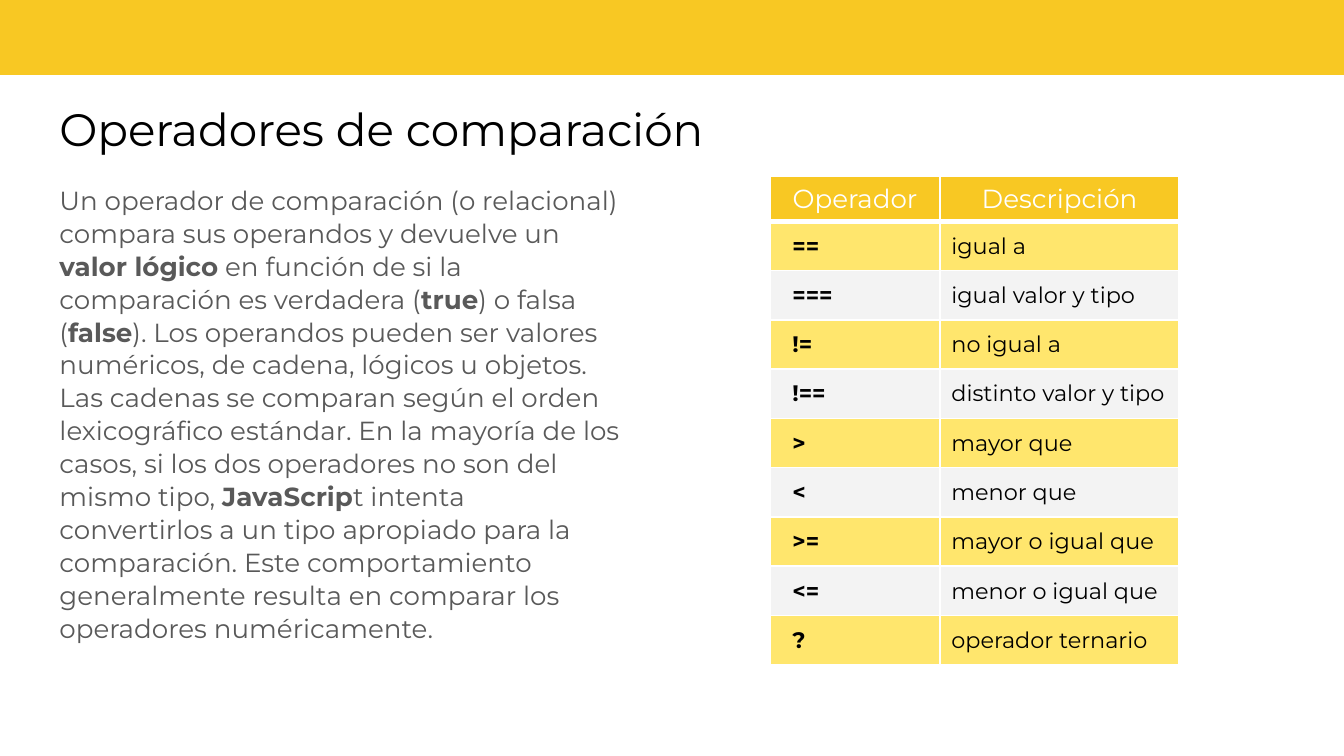
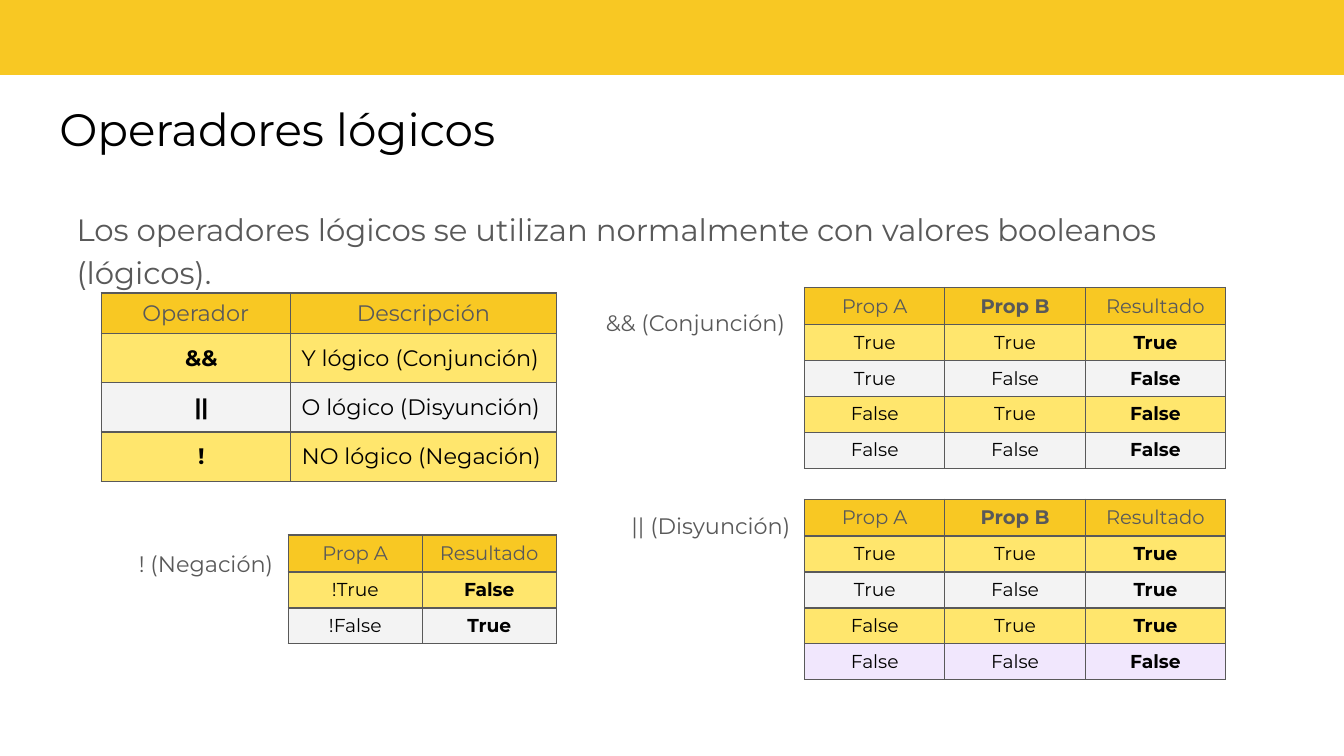
from dataclasses import dataclass

from lxml import etree
from pptx import Presentation
from pptx.dml.color import RGBColor
from pptx.enum import shapes, text
from pptx.oxml.ns import qn
from pptx.util import Pt

FONT = "Montserrat"
COLORS = {
    "band": "F8C823",
    "stripe": "FFE66D",
    "plain": "F3F3F3",
    "lilac": "F1E7FD",
    "white": "FFFFFF",
    "black": "000000",
    "gray": "595959",
}
LEFT, CENTER, RIGHT = text.PP_ALIGN.LEFT, text.PP_ALIGN.CENTER, text.PP_ALIGN.RIGHT


@dataclass
class TableStyle:
    header_size: float
    body_size: float
    header_height: float
    row_height: float
    header_color: str
    border_color: str
    border_width: float
    header_rule: float
    body_margins: tuple  # one (left, top, right, bottom) for the first column, one for the rest
    body_aligns: tuple
    bold_column: int


HEADER_MARGINS = (7.2, 3.6, 7.2, 3.6)
OPERATOR_MARGINS = ((12, 6, 6, 6), (6, 6, 6, 6))
COMPARISON = TableStyle(14, 12, 24, 26.4, "white", "white", 1, 3,
                        OPERATOR_MARGINS, (LEFT, LEFT), 0)
LOGIC = TableStyle(12, 12, 21.6, 26.4, "gray", "gray", 0.75, 0.75,
                   OPERATOR_MARGINS, (CENTER, LEFT), 0)
TRUTH = TableStyle(10.5, 10, 19.6, 19.2, "gray", "gray", 0.75, 0.75,
                   (HEADER_MARGINS, HEADER_MARGINS), (CENTER, CENTER), -1)


def rgb(name):
    return RGBColor.from_string(COLORS[name])


def write(text_frame, content, size, color, align=LEFT, bold=False):
    """Fill the first paragraph; parts between ** marks are bold."""
    paragraph = text_frame.paragraphs[0]
    paragraph.alignment = align
    for index, part in enumerate(content.split("**")):
        if part:
            run = paragraph.add_run()
            run.text = part
            run.font.name = FONT
            run.font.size = Pt(size)
            run.font.bold = bold or index % 2 == 1
            run.font.color.rgb = rgb(color)
    return paragraph


def add_text(slide, box, content, size, color="gray", align=LEFT):
    shape = slide.shapes.add_textbox(*map(Pt, box))
    text_frame = shape.text_frame
    text_frame.word_wrap = True
    text_frame.margin_left = text_frame.margin_right = Pt(7.2)
    text_frame.margin_top = text_frame.margin_bottom = Pt(7.2)
    return write(text_frame, content, size, color, align)


def set_borders(cell, color, widths):
    """Draw the cell's edges; widths gives left, right, top and bottom."""
    properties = cell._tc.get_or_add_tcPr()
    for side, width in zip("LRTB", widths):
        line = etree.SubElement(properties, qn(f"a:ln{side}"), w=str(Pt(width)))
        fill = etree.SubElement(line, qn("a:solidFill"))
        etree.SubElement(fill, qn("a:srgbClr"), val=COLORS[color])


def add_grid(slide, left, top, widths, rows, style, last_fill=None):
    """Add a table with a header row and striped body rows."""
    height = style.header_height + style.row_height * (len(rows) - 1)
    frame = slide.shapes.add_table(len(rows), len(widths), Pt(left), Pt(top),
                                   Pt(sum(widths)), Pt(height))
    table = frame.table
    table.horz_banding = False
    for column, width in zip(table.columns, widths):
        column.width = Pt(width)
    bold_column = style.bold_column % len(widths)

    for r, values in enumerate(rows):
        is_header = r == 0
        table.rows[r].height = Pt(style.header_height if is_header else style.row_height)
        if is_header:
            fill = "band"
        elif last_fill and r == len(rows) - 1:
            fill = last_fill
        else:
            fill = "stripe" if r % 2 else "plain"
        thin = style.border_width
        above = style.header_rule if r == 1 else thin
        below = style.header_rule if is_header else thin

        for c, value in enumerate(values):
            cell = table.cell(r, c)
            later = min(c, 1)
            margins = HEADER_MARGINS if is_header else style.body_margins[later]
            (cell.margin_left, cell.margin_top,
             cell.margin_right, cell.margin_bottom) = map(Pt, margins)
            set_borders(cell, style.border_color, (thin, thin, above, below))
            cell.fill.solid()
            cell.fill.fore_color.rgb = rgb(fill)
            if is_header:
                write(cell.text_frame, value, style.header_size, style.header_color, CENTER)
            else:
                write(cell.text_frame, value, style.body_size, "black",
                      style.body_aligns[later], c == bold_column)


def add_titled_slide(presentation, title):
    """Add a slide with the yellow band and the title."""
    slide = presentation.slides.add_slide(presentation.slide_layouts[6])
    band = slide.shapes.add_shape(shapes.MSO_SHAPE.RECTANGLE,
                                  Pt(-1), Pt(-3.6), Pt(722), Pt(43.8))
    band.shadow.inherit = False
    band.fill.solid()
    band.fill.fore_color.rgb = rgb("band")
    band.line.fill.background()
    add_text(slide, (24.8, 46.8, 669.6, 45.4), title, 24.3, "black")
    return slide


def add_truth_table(slide, label_box, label, left, top, widths, rows, last_fill=None):
    add_grid(slide, left, top, widths, rows, TRUTH, last_fill)
    add_text(slide, label_box, label, 12, align=RIGHT)


def binary_rows(results):
    """Pair every combination of two propositions with its result."""
    inputs = [(a, b) for a in ("True", "False") for b in ("True", "False")]
    return [("Prop A", "**Prop B**", "Resultado")] + [
        (a, b, result) for (a, b), result in zip(inputs, results)]


def build_comparison_slide(presentation):
    slide = add_titled_slide(presentation, "Operadores de comparación")
    rows = [
        ("Operador", "Descripción"),
        ("==", "igual a"),
        ("===", "igual valor y tipo"),
        ("!=", "no igual a"),
        ("!==", "distinto valor y tipo"),
        (">", "mayor que"),
        ("<", "menor que"),
        (">=", "mayor o igual que"),
        ("<=", "menor o igual que"),
        ("?", "operador ternario"),
    ]
    add_grid(slide, 412.5, 94.5, (91.2, 128), rows, COMPARISON)
    paragraph = add_text(
        slide, (24.8, 90.7, 314.6, 269.3),
        "Un operador de comparación (o relacional) compara sus operandos y devuelve un "
        "**valor lógico** en función de si la comparación es verdadera (**true**) o falsa "
        "(**false**). Los operandos pueden ser valores numéricos, de cadena, lógicos u "
        "objetos. Las cadenas se comparan según el orden lexicográfico estándar. En la "
        "mayoría de los casos, si los dos operadores no son del mismo tipo, **JavaScrip**t "
        "intenta convertirlos a un tipo apropiado para la comparación. Este comportamiento "
        "generalmente resulta en comparar los operadores numéricamente.", 14)
    paragraph.line_spacing = 1.05
    paragraph.space_after = Pt(12)


def build_logic_slide(presentation):
    slide = add_titled_slide(presentation, "Operadores lógicos")
    paragraph = add_text(
        slide, (34, 103, 652.3, 261.4),
        "Los operadores lógicos se utilizan normalmente con valores booleanos (lógicos).", 16.5)
    paragraph.line_spacing = 1.15

    operators = [
        ("Operador", "Descripción"),
        ("&&", "Y lógico (Conjunción)"),
        ("||", "O lógico (Disyunción)"),
        ("!", "NO lógico (Negación)"),
    ]
    add_grid(slide, 54.2, 157, (101.4, 142.6), operators, LOGIC)

    binary_widths = (75.2,) * 3
    add_truth_table(slide, (301, 158.4, 126.7, 26.6), "&& (Conjunción)", 431, 154,
                    binary_widths, binary_rows(("True", "False", "False", "False")))
    add_truth_table(slide, (303.8, 267.1, 126.7, 26.6), "|| (Disyunción)", 431, 267.4,
                    binary_widths, binary_rows(("True", "True", "True", "False")), "lilac")
    negation = [("Prop A", "Resultado"), ("!True", "False"), ("!False", "True")]
    add_truth_table(slide, (54, 287.3, 99.4, 26.6), "! (Negación)", 154.4, 286.6,
                    (71.8,) * 2, negation)


def main():
    presentation = Presentation()
    presentation.slide_width = Pt(720)
    presentation.slide_height = Pt(405)
    build_comparison_slide(presentation)
    build_logic_slide(presentation)
    presentation.save("out.pptx")


if __name__ == "__main__":
    main()
